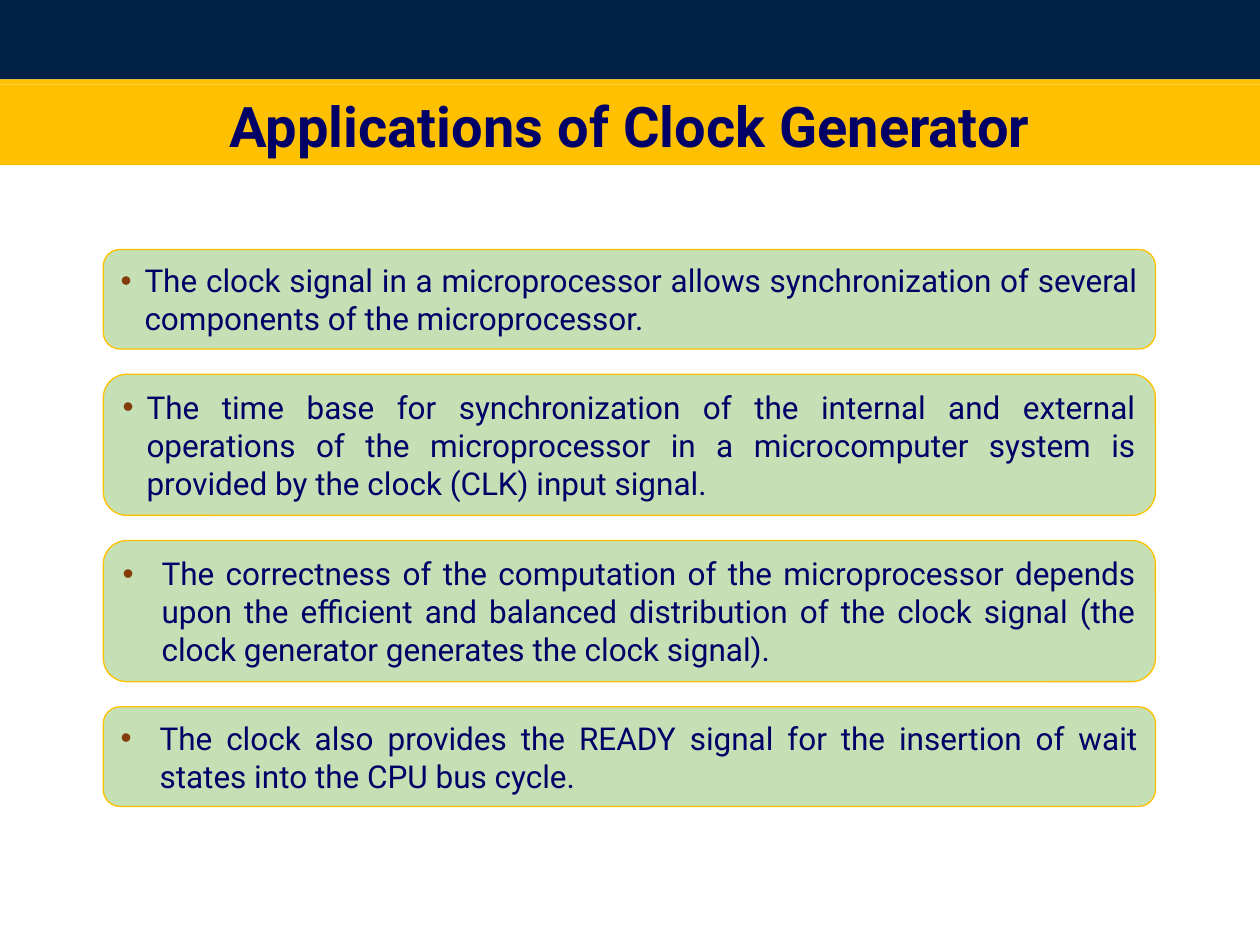
from dataclasses import dataclass

from lxml.etree import SubElement
from pptx import Presentation
from pptx.dml.color import RGBColor as Rgb
from pptx.enum.shapes import MSO_SHAPE as Shape
from pptx.enum.text import MSO_ANCHOR as Anchor, MSO_AUTO_SIZE as Fit, PP_ALIGN as Align
from pptx.oxml.ns import qn
from pptx.util import Inches, Pt


@dataclass(frozen=True)
class Theme:
    font: str = "Roboto"
    navy: str = "002147"
    gold: str = "FFC000"
    ink: str = "000066"
    green: str = "C5E0B4"
    brown: str = "843C0B"
    head: int = 32
    body: int = 18
    rule: float = 0.75


THEME = Theme()
GAP = 0.2
CARDS = [
    (0.79, 0.19, "The clock signal in a microprocessor allows synchronization of several "
     "components of the microprocessor."),
    (1.12, 0.19, "The time base for synchronization of the internal and external operations "
     "of the microprocessor in a microcomputer system is provided by the clock (CLK) input signal."),
    (1.12, 0.31, "The correctness of the computation of the microprocessor depends upon the "
     "efficient and balanced distribution of the clock signal (the clock generator generates "
     "the clock signal)."),
    (0.79, 0.31, "The clock also provides the READY signal for the insertion of wait states "
     "into the CPU bus cycle."),
]


def paint(shape, color):
    shape.fill.solid()
    shape.fill.fore_color.rgb = Rgb.from_string(color)


def add_block(slide, kind, box, color):
    block = slide.shapes.add_shape(kind, *map(Inches, box))
    block.shadow.inherit = False
    paint(block, color)
    block.line.fill.background()
    return block


def write(shape, text, size, align, bold=False):
    frame = shape.text_frame
    frame.text = text
    frame.word_wrap = True
    frame.auto_size = Fit.NONE
    frame.vertical_anchor = Anchor.MIDDLE
    para = frame.paragraphs[0]
    para.alignment = align
    font = para.runs[0].font
    font.name, font.size, font.bold = THEME.font, Pt(size), bold
    font.color.rgb = Rgb.from_string(THEME.ink)
    return para


def add_bullet(para, indent):
    props = para._p.get_or_add_pPr()
    props.set("marL", str(Inches(indent)))
    props.set("indent", str(-Inches(indent)))
    color = SubElement(props, qn("a:buClr"))
    SubElement(color, qn("a:srgbClr"), val=THEME.brown)
    SubElement(props, qn("a:buFont"), typeface="Arial")
    SubElement(props, qn("a:buChar"), char="•")


def add_header(slide, box, text):
    left, top, width, height = box
    band, strip = 0.63, 0.04
    add_block(slide, Shape.RECTANGLE, (left, top, width, band), THEME.navy)
    add_block(slide, Shape.RECTANGLE, (left, top + band, width, strip), THEME.gold)
    title = slide.shapes.title
    base = top + band + strip
    title.left, title.top = Inches(left), Inches(base)
    title.width, title.height = Inches(width), Inches(top + height - base)
    paint(title, THEME.gold)
    write(title, text, THEME.head, Align.CENTER, bold=True)


def add_cards(slide, box, cards):
    left, top, width = box
    for height, indent, text in cards:
        card = add_block(slide, Shape.ROUNDED_RECTANGLE, (left, top, width, height), THEME.green)
        card.line.color.rgb = Rgb.from_string(THEME.gold)
        card.line.width = Pt(THEME.rule)
        add_bullet(write(card, text, THEME.body, Align.JUSTIFY), indent)
        top += height + GAP


def main():
    deck = Presentation()
    deck.slide_width, deck.slide_height = Inches(10), Inches(7.5)
    slide = deck.slides.add_slide(deck.slide_layouts.get_by_name("Title Only"))
    add_header(slide, (0, 0, 10, 1.31), "Applications of Clock Generator")
    add_cards(slide, (0.82, 1.98, 8.35), CARDS)
    deck.save("out.pptx")


if __name__ == "__main__":
    main()
